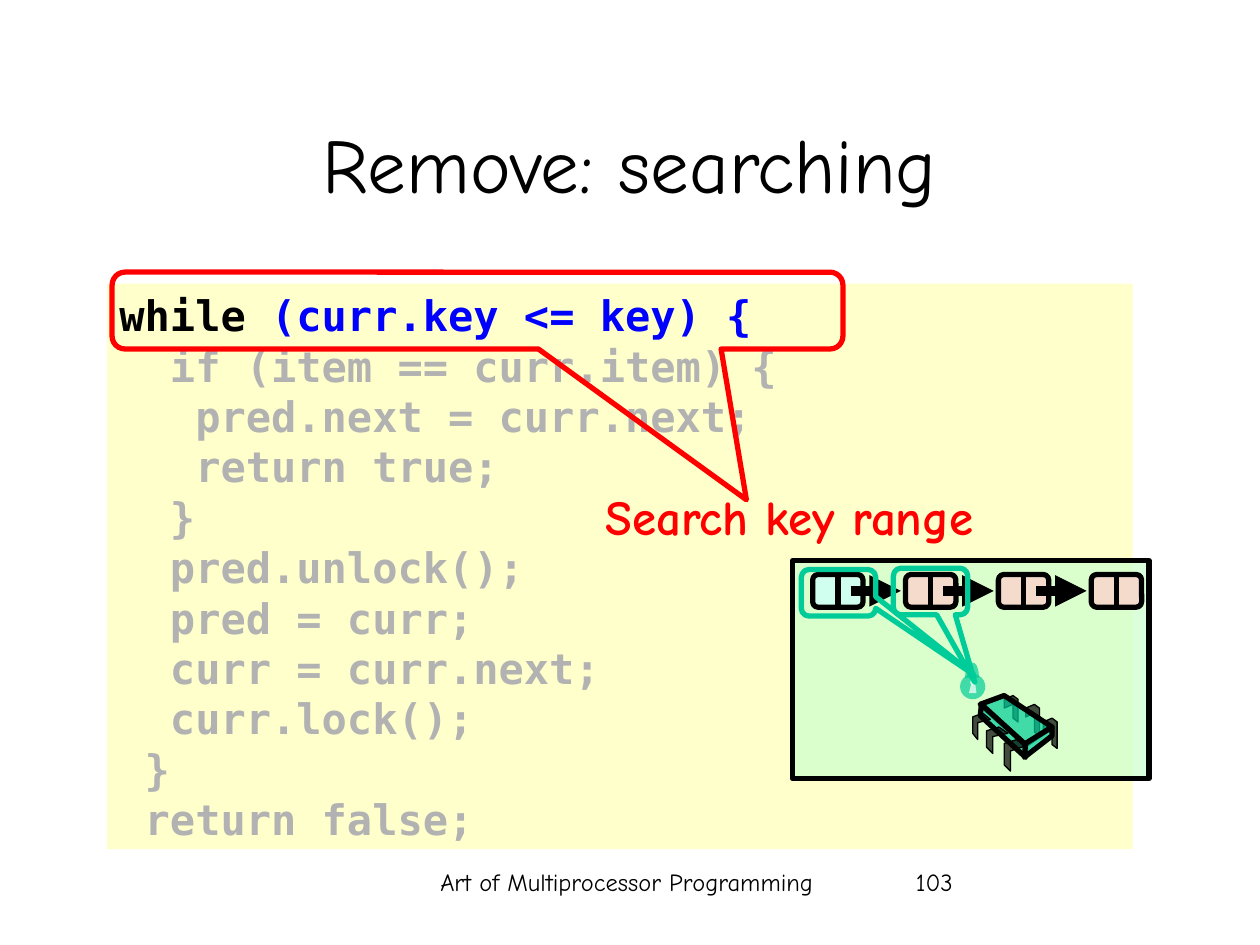
from dataclasses import dataclass

from lxml import etree
from pptx import Presentation
from pptx.dml.color import RGBColor
from pptx.enum.shapes import MSO_CONNECTOR, MSO_SHAPE
from pptx.enum.text import MSO_ANCHOR, PP_ALIGN
from pptx.oxml.ns import qn
from pptx.util import Inches, Pt

RECT, ROUND, OVAL = MSO_SHAPE.RECTANGLE, MSO_SHAPE.ROUNDED_RECTANGLE, MSO_SHAPE.OVAL
CALLOUT = MSO_SHAPE.ROUNDED_RECTANGULAR_CALLOUT
STRAIGHT = MSO_CONNECTOR.STRAIGHT
LEFT, CENTER = PP_ALIGN.LEFT, PP_ALIGN.CENTER
TOP, MIDDLE = MSO_ANCHOR.TOP, MSO_ANCHOR.MIDDLE
COLUMNS, ROWS = 100, 75
FINE = 100  # freeform units per grid cell


@dataclass(frozen=True)
class Theme:
    body: str = "Comic Neue"
    mono: str = "DejaVu Sans Mono"
    black: str = "000000"
    white: str = "FFFFFF"
    red: str = "FF0000"
    blue: str = "0000FF"
    gray: str = "B2B2B2"
    cream: str = "FFFFCC"
    mint: str = "CCFFCC"
    aqua: str = "CCFFFF"
    pink: str = "FFCCCC"
    teal: str = "00CC99"
    title_size: int = 44
    note_size: int = 28
    code_size: int = 24
    footer_size: int = 14
    code_pitch: float = 28.8
    thin: float = 0.75
    line: float = 3
    arrow: float = 6
    alpha: int = 70


class Canvas:
    """Holds the theme and the current slide; lengths are grid cells."""

    def __init__(self, deck, theme):
        self.theme = theme
        self.cell_w = deck.slide_width / COLUMNS
        self.cell_h = deck.slide_height / ROWS
        self.page = deck.slides.add_slide(deck.slide_layouts[5])
        self.shapes = self.page.shapes

    def place(self, *cells):
        sizes = (self.cell_w, self.cell_h) * 2
        return [round(cell * size) for cell, size in zip(cells, sizes)]

    def add_lines(self, frame, lines, size, font, align=LEFT, bold=False, pitch=None):
        frame.word_wrap = True
        for index, line in enumerate(lines):
            para = frame.paragraphs[0] if index == 0 else frame.add_paragraph()
            para.alignment = align
            if pitch:
                para.line_spacing = Pt(pitch)
            for text, color in line:
                span = para.add_run()
                span.text = text
                span.font.size, span.font.name, span.font.bold = Pt(size), font, bold
                span.font.color.rgb = RGBColor.from_string(color)

    def title(self, text, at):
        box = self.shapes.title
        box.left, box.top, box.width, box.height = self.place(*at)
        box.text_frame.vertical_anchor = MIDDLE
        self.add_lines(box.text_frame, [[(text, self.theme.black)]],
                       self.theme.title_size, self.theme.body, CENTER)

    def label(self, text, at, size, color, align=LEFT, bold=False):
        box = self.shapes.add_textbox(*self.place(*at))
        self.add_lines(box.text_frame, [[(text, color)]], size, self.theme.body, align, bold)

    def paint(self, shape, fill=None, line=None, width=0, alpha=None):
        shape.shadow.inherit = False
        if fill:
            shape.fill.solid()
            shape.fill.fore_color.rgb = RGBColor.from_string(fill)
            if alpha:
                color = shape._element.spPr.find(qn("a:solidFill")).find(qn("a:srgbClr"))
                etree.SubElement(color, qn("a:alpha")).set("val", str(alpha * 1000))
        else:
            shape.fill.background()
        if line:
            shape.line.color.rgb = RGBColor.from_string(line)
            shape.line.width = Pt(width)
        else:
            shape.line.fill.background()
        return shape

    def shape(self, kind, at, adjust=(), **style):
        shape = self.shapes.add_shape(kind, *self.place(*at))
        for index, value in enumerate(adjust):
            shape.adjustments[index] = value
        return self.paint(shape, **style)

    def code(self, at, lines):
        theme = self.theme
        box = self.shape(RECT, at, fill=theme.cream)
        box.text_frame.vertical_anchor = TOP
        self.add_lines(box.text_frame, lines, theme.code_size, theme.mono,
                       bold=True, pitch=theme.code_pitch)

    def connector(self, start, end, width, arrow=False):
        link = self.shapes.add_connector(STRAIGHT, *self.place(*start, *end))
        link.line.color.rgb = RGBColor.from_string(self.theme.black)
        link.line.width = Pt(width)
        properties = link._element.spPr
        if arrow:
            tail = etree.SubElement(properties.find(qn("a:ln")), qn("a:tailEnd"))
            tail.set("type", "triangle")
        etree.SubElement(properties, qn("a:effectLst"))
        return link

    def outline(self, points, **style):
        first, *rest = [(x * FINE, y * FINE) for x, y in points]
        builder = self.shapes.build_freeform(
            *first, scale=(self.cell_w / FINE, self.cell_h / FINE))
        builder.add_line_segments(rest, close=True)
        return self.paint(builder.convert_to_shape(), alpha=self.theme.alpha, **style)

    def node(self, left, top, width, height, fill):
        theme = self.theme
        box = self.shape(ROUND, (left, top, width, height), (0.167,), fill=fill,
                         line=theme.black, width=theme.line, alpha=theme.alpha)
        middle = left + width / 2
        divider = self.connector((middle, top), (middle, top + height), theme.line)
        divider.begin_connect(box, 0)
        divider.end_connect(box, 2)


def curve(start, first, second, end, steps=10):
    """Points along a cubic Bezier curve, without its start."""
    for step in range(1, steps + 1):
        t = step / steps
        weights = ((1 - t) ** 3, 3 * t * (1 - t) ** 2, 3 * t * t * (1 - t), t ** 3)
        yield tuple(sum(w * p[axis] for w, p in zip(weights, (start, first, second, end)))
                    for axis in (0, 1))


def draw_lock(canvas):
    theme = canvas.theme
    for at, fill in (((76.2, 53.5, 2, 2), theme.teal), ((77, 53.9, 0.5, 0.5), theme.white)):
        canvas.shape(OVAL, at, fill=fill, alpha=theme.alpha)
    canvas.outline([(76.9, 55), (77.1, 54.2), (77.4, 54.2), (77.5, 55)], fill=theme.white)
    shackle = [(76.9, 53.8),
               *curve((76.9, 53.8), (76.9, 53.4), (77, 53.2), (77.2, 53.2)),
               *curve((77.2, 53.2), (77.3, 53.2), (77.4, 53.4), (77.4, 53.8)),
               (77.7, 53.8),
               *curve((77.7, 53.8), (77.7, 53.1), (77.5, 52.6), (77.2, 52.6)),
               *curve((77.2, 52.6), (76.9, 52.6), (76.6, 53.1), (76.6, 53.8))]
    canvas.outline(shackle, fill=theme.teal)


def draw_chip(canvas):
    theme = canvas.theme
    pin = dict(fill=theme.black, line=theme.black, width=theme.thin)
    # Back pins: left, top, height
    for x, y, h in ((82.8, 57, 2.4), (81.4, 55.9, 2.5), (79.7, 55.2, 2.1)):
        canvas.outline([(x, y + 0.3), (x + 0.7, y), (x + 1.1, y + 0.3), (x + 1.1, y + h),
                        (x + 0.7, y + h - 0.3), (x + 0.7, y + 0.7), (x, y + 1)], **pin)
    # Top, left and right faces
    for face in ([(79.7, 55.2), (83.5, 57.7), (81.4, 59.1), (77.8, 55.9)],
                 [(77.9, 55.9), (81.4, 59.1), (81.4, 60.1), (77.8, 56.8)],
                 [(83.5, 57.7), (83.5, 58.4), (81.3, 60.1), (81.4, 59)]):
        canvas.outline(face, fill=theme.teal, line=theme.black, width=theme.line)
    # Front pins: left, top, width, leg width, height
    for x, y, w, leg, h in ((79.7, 58.7, 1.7, 0.5, 2.5), (78.3, 57.7, 1.7, 0.5, 2.1),
                            (77.2, 56.6, 1.4, 0.4, 2.1)):
        bend = y + 0.36 * h
        canvas.outline([(x + 0.58 * w, y), (x + w, y + 0.5), (x + leg, bend),
                        (x + leg, y + h), (x, y + h - 0.5), (x, y + 0.3)], **pin)


def main():
    deck = Presentation()
    deck.slide_width, deck.slide_height = Inches(10), Inches(7.5)
    theme = Theme()
    canvas = Canvas(deck, theme)

    # Title and footer
    canvas.title("Remove: searching", (7.5, 6.7, 85, 12.5))
    canvas.label("Art of Multiprocessor Programming", (31, 68.3, 37.5, 5),
                 theme.footer_size, theme.black, CENTER)
    canvas.label("103", (71.7, 68.3, 20.8, 5), theme.footer_size, theme.black)

    # Code with the loop condition in focus
    faded = ("  if (item == curr.item) {", "   pred.next = curr.next;", "   return true;",
             "  }", "  pred.unlock();", "  pred = curr;", "  curr = curr.next;",
             "  curr.lock();", " }", " return false;")
    canvas.code((8.5, 22.5, 81.4, 44.9),
                [[("while", theme.black), (" (curr.key <= key) {", theme.blue)],
                 *([(line, theme.gray)] for line in faded)])
    canvas.shape(CALLOUT, (8.9, 21.6, 58, 6.1), (0.368, 2.463, 0.167),
                 line=theme.red, width=theme.line)
    canvas.label("Search key range", (36.4, 38.1, 52.5, 5.7),
                 theme.note_size, theme.red, CENTER, True)

    # Linked list panel
    canvas.shape(RECT, (62.9, 44.5, 28.3, 17.3), fill=theme.mint,
                 line=theme.black, width=theme.line, alpha=theme.alpha)
    lefts = [64.5 + 7.37 * index for index in range(4)]
    for left, fill in zip(lefts, (theme.aqua, theme.pink, theme.pink, theme.pink)):
        canvas.node(left, 45.6, 4, 2.6, fill)
    for left in lefts[:-1]:
        canvas.connector((left + 3, 46.9), (left + 7, 46.9), theme.arrow, True)

    # Thread holding the locks on two nodes
    held = dict(line=theme.teal, width=theme.line)
    canvas.shape(CALLOUT, (63.6, 45.2, 5.9, 3.7), (1.813, 1.749, 0.167), **held)
    draw_lock(canvas)
    draw_chip(canvas)
    canvas.shape(CALLOUT, (70.9, 45.1, 5.9, 3.7), (0.596, 1.944, 0.167), **held)

    deck.save("out.pptx")


if __name__ == "__main__":
    main()
